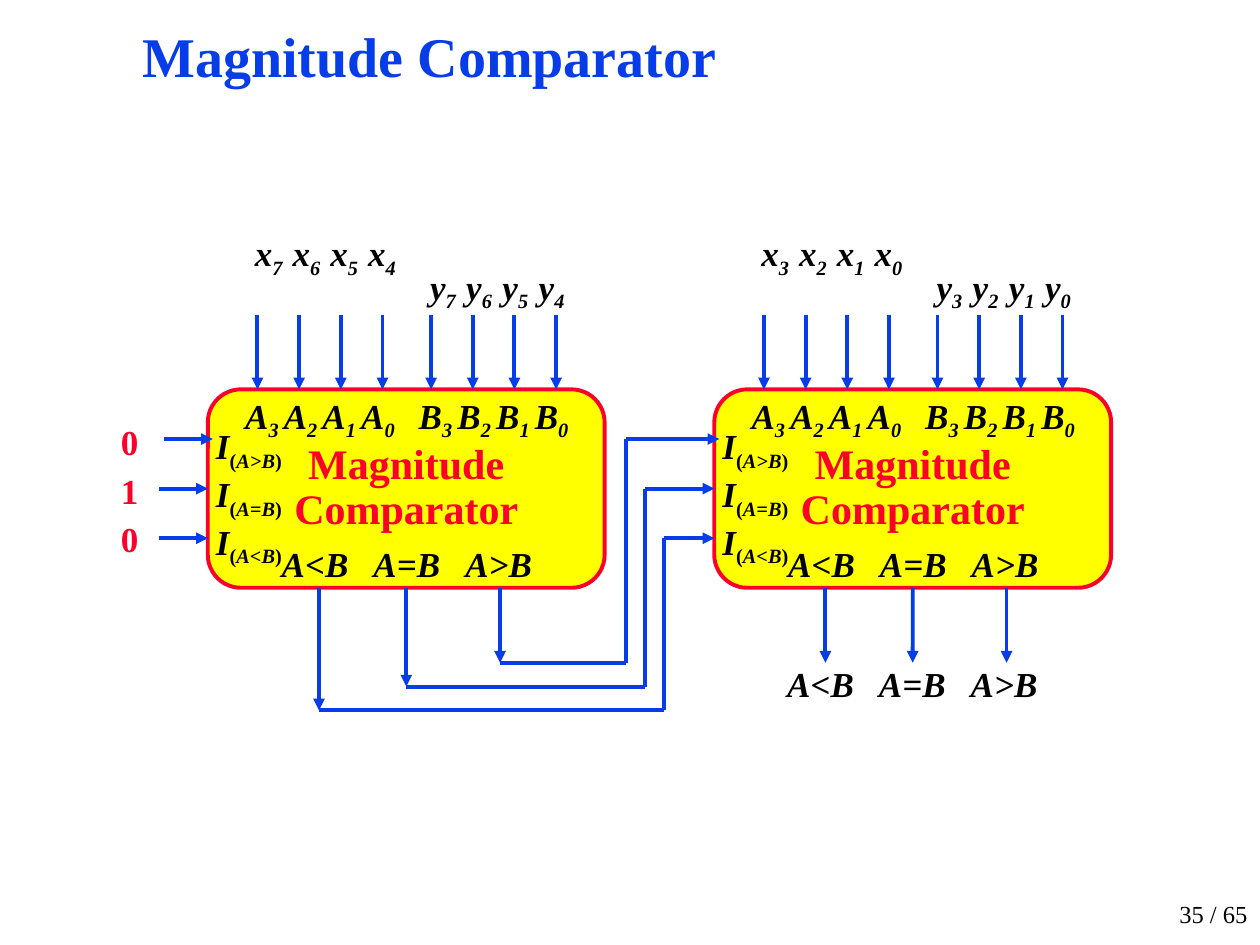
from dataclasses import dataclass

from lxml.etree import SubElement
from pptx import Presentation
from pptx.dml.color import RGBColor
from pptx.enum.shapes import MSO_CONNECTOR as Connector, MSO_SHAPE as Preset
from pptx.enum.text import MSO_ANCHOR as Anchor, PP_ALIGN as Align
from pptx.oxml.ns import qn
from pptx.util import Cm, Pt


@dataclass(frozen=True)
class Theme:
    font: str = "Times New Roman"
    blue: RGBColor = RGBColor(0x06, 0x3D, 0xE8)
    red: RGBColor = RGBColor(0xFC, 0x01, 0x28)
    yellow: RGBColor = RGBColor(0xFF, 0xFF, 0x00)
    black: RGBColor = RGBColor(0, 0, 0)
    title: int = 32
    block: int = 24
    label: int = 20
    footer: int = 14
    line: float = 2.25


THEME = Theme()

# Content
TITLE = "Magnitude Comparator"
BLOCK_NAME = "Magnitude\vComparator"
PAGE = "35 / 65"
PORTS = ["A", "B"]
PORT_BITS = "3210"
OUTPUTS = ["A<B", "A=B", "A>B"]
CARRY_INPUTS = OUTPUTS[::-1]
CARRY_VALUES = ["0", "1", "0"]
STAGES = [{"left": 4.19, "bits": "7654"}, {"left": 14.4, "bits": "3210"}]

# Geometry in cm; x values of ports are offsets from the block's left edge
BLOCK_TOP, BLOCK_WIDTH, BLOCK_HEIGHT = 7.85, 8, 4
BLOCK_BOTTOM = BLOCK_TOP + BLOCK_HEIGHT
ARROW_TOP = 6.35
WIRE_STARTS, WIRE_PITCH = [1, 4.5], 0.84
OUTPUT_X = [2.24, 4, 5.89]
OUTPUT_PITCH = 1.85
CARRY_Y = [BLOCK_TOP + 1 + row for row in range(3)]
CARRY_OVERLAP = [0.1, 0, 0]     # the first carry arrow ends just inside the block
CARRY_LENGTH = 0.99
LANE_X, LANE_PITCH = 12.62, 0.38
DEPTH_Y, DEPTH_PITCH = 13.36, 0.48
# name, box offset, top, left inset, tab pitch
SIGNALS = [("x", 0.6, 4.53, 0.35, 0.76), ("y", 4.1, 5.2, 0.38, 0.73)]

presentation = Presentation()
presentation.slide_width, presentation.slide_height = Cm(25.4), Cm(19.05)
slide = presentation.slides.add_slide(presentation.slide_layouts[5])


def style(run, size, color, bold=True, italic=False, subscript=False):
    font = run.font
    font.name, font.size, font.bold, font.italic = THEME.font, Pt(size), bold, italic
    font.color.rgb = color
    if subscript:
        run._r.get_or_add_rPr().set("baseline", "-25000")


def set_insets(frame, left=0.0):
    frame.word_wrap = True
    frame.margin_left = Cm(left)
    frame.margin_top = frame.margin_right = frame.margin_bottom = 0


def add_label(left, top, width, height, lines, spacing=1.0, align=Align.CENTER,
              color=THEME.black, inset=0.0, tab_pitch=None):
    """Each line is a list of (text, italic, subscript) pieces."""
    box = slide.shapes.add_textbox(Cm(left), Cm(top), Cm(width), Cm(height))
    frame = box.text_frame
    set_insets(frame, inset)
    for index, pieces in enumerate(lines):
        paragraph = frame.add_paragraph() if index else frame.paragraphs[0]
        paragraph.alignment, paragraph.line_spacing = align, spacing
        if tab_pitch:
            tabs = SubElement(paragraph._p.get_or_add_pPr(), qn("a:tabLst"))
            for stop in range(1, 4):
                SubElement(tabs, qn("a:tab"), pos=str(Cm(stop * tab_pitch)), algn="l")
        for text, italic, subscript in pieces:
            run = paragraph.add_run()
            run.text = text
            style(run, THEME.label, color, italic=italic, subscript=subscript)


def indexed(name, indices, gap):
    """Pieces such as A3 A2 A1 A0, with the digits as subscripts."""
    pieces = []
    for index in indices:
        after = "" if index == indices[-1] else gap
        pieces += [(name, True, False), (index + after, True, True)]
    return pieces


def add_outputs(left, top, width, height, inset, spacing):
    add_label(left, top, width, height, [[("\t".join(OUTPUTS), True, False)]], spacing,
              Align.LEFT, inset=inset, tab_pitch=OUTPUT_PITCH)


def add_wire(x1, y1, x2, y2, arrow=True, begin=None, end=None):
    wire = slide.shapes.add_connector(Connector.STRAIGHT, Cm(x1), Cm(y1), Cm(x2), Cm(y2))
    wire.line.color.rgb, wire.line.width = THEME.blue, Pt(THEME.line)
    if begin:
        wire.begin_connect(*begin)
    if end:
        wire.end_connect(*end)
    if arrow:
        SubElement(wire.line._get_or_add_ln(), qn("a:tailEnd"), type="triangle")
    SubElement(wire._element.spPr, qn("a:effectLst"))


def add_block(left):
    block = slide.shapes.add_shape(Preset.ROUNDED_RECTANGLE, Cm(left), Cm(BLOCK_TOP),
                                   Cm(BLOCK_WIDTH), Cm(BLOCK_HEIGHT))
    block.shadow.inherit = False
    block.fill.solid()
    block.fill.fore_color.rgb = THEME.yellow
    block.line.color.rgb, block.line.width = THEME.red, Pt(THEME.line)
    frame = block.text_frame
    set_insets(frame)
    frame.vertical_anchor = Anchor.MIDDLE
    frame.text = BLOCK_NAME
    paragraph = frame.paragraphs[0]
    paragraph.alignment, paragraph.line_spacing = Align.CENTER, 0.9
    for run in paragraph.runs:
        style(run, THEME.block, THEME.red)
    # Port names inside the block
    for column, port in enumerate(PORTS):
        add_label(left + 0.51 + 3.5 * column, BLOCK_TOP, 3.5, 0.94,
                  [indexed(port, PORT_BITS, " ")], 1.1)
    add_outputs(left, 10.85, BLOCK_WIDTH, 0.94, 1.49, 1.1)
    add_label(left + 0.08, 8.56, 1.5, 2.54,
              [[("I", True, False), ("(", False, True), (name, True, True), (")", False, True)]
               for name in CARRY_INPUTS])
    return block


def add_carry_arrow(row, start, left, block):
    add_wire(start, CARRY_Y[row], left + CARRY_OVERLAP[row], CARRY_Y[row],
             end=(block, 1) if row == 1 else None)


def add_output_arrow(column, left, bottom, block):
    x = left + OUTPUT_X[column]
    add_wire(x, BLOCK_BOTTOM, x, bottom, begin=(block, 2) if column == 1 else None)


# Title
title = slide.shapes.title
title.left, title.top, title.width, title.height = Cm(2.69), Cm(0.53), Cm(22), Cm(1.32)
frame = title.text_frame
frame.text = TITLE
frame.vertical_anchor = Anchor.TOP
frame.margin_left = frame.margin_right = Cm(0.18)
frame.margin_top = frame.margin_bottom = Cm(0.08)
frame.paragraphs[0].alignment, frame.paragraphs[0].line_spacing = Align.LEFT, 0.87
style(frame.paragraphs[0].runs[0], THEME.title, THEME.blue)

# Comparator blocks with their data inputs
blocks = []
for stage in STAGES:
    left = stage["left"]
    blocks.append(add_block(left))
    for start in WIRE_STARTS:
        for bit in range(4):
            x = left + start + bit * WIRE_PITCH
            add_wire(x, ARROW_TOP, x, BLOCK_TOP)
    for name, offset, top, inset, pitch in SIGNALS:
        add_label(left + offset, top, 3.5, 0.97, [indexed(name, stage["bits"], "\t")],
                  1.15, Align.LEFT, inset=inset, tab_pitch=pitch)
high, low = blocks
high_left, low_left = (stage["left"] for stage in STAGES)

# Constant carry inputs, the cascade between blocks, and the final outputs
add_label(2.21, 8.36, 0.81, 2.92, [[(value, False, False)] for value in CARRY_VALUES],
          1.15, color=THEME.red)
for row in range(3):
    column = 2 - row
    lane, depth = LANE_X + row * LANE_PITCH, DEPTH_Y + row * DEPTH_PITCH
    add_carry_arrow(row, high_left + CARRY_OVERLAP[row] - CARRY_LENGTH, high_left, high)
    add_output_arrow(column, high_left, depth, high)
    add_wire(high_left + OUTPUT_X[column], depth, lane, depth, arrow=False)
    add_wire(lane, depth, lane, CARRY_Y[row], arrow=False)
    add_carry_arrow(row, lane, low_left, low)
    add_output_arrow(column, low_left, DEPTH_Y, low)
add_outputs(low_left + 1.22, 13.46, 5.49, 0.76, 0.25, 0.9)

# Page number
page = slide.shapes.add_textbox(Cm(22.07), Cm(18.03), Cm(3.33), Cm(0.81))
frame = page.text_frame
frame.word_wrap, frame.vertical_anchor = True, Anchor.BOTTOM
frame.text = PAGE
frame.paragraphs[0].alignment = Align.RIGHT
style(frame.paragraphs[0].runs[0], THEME.footer, THEME.black, bold=False)

presentation.save("out.pptx")
